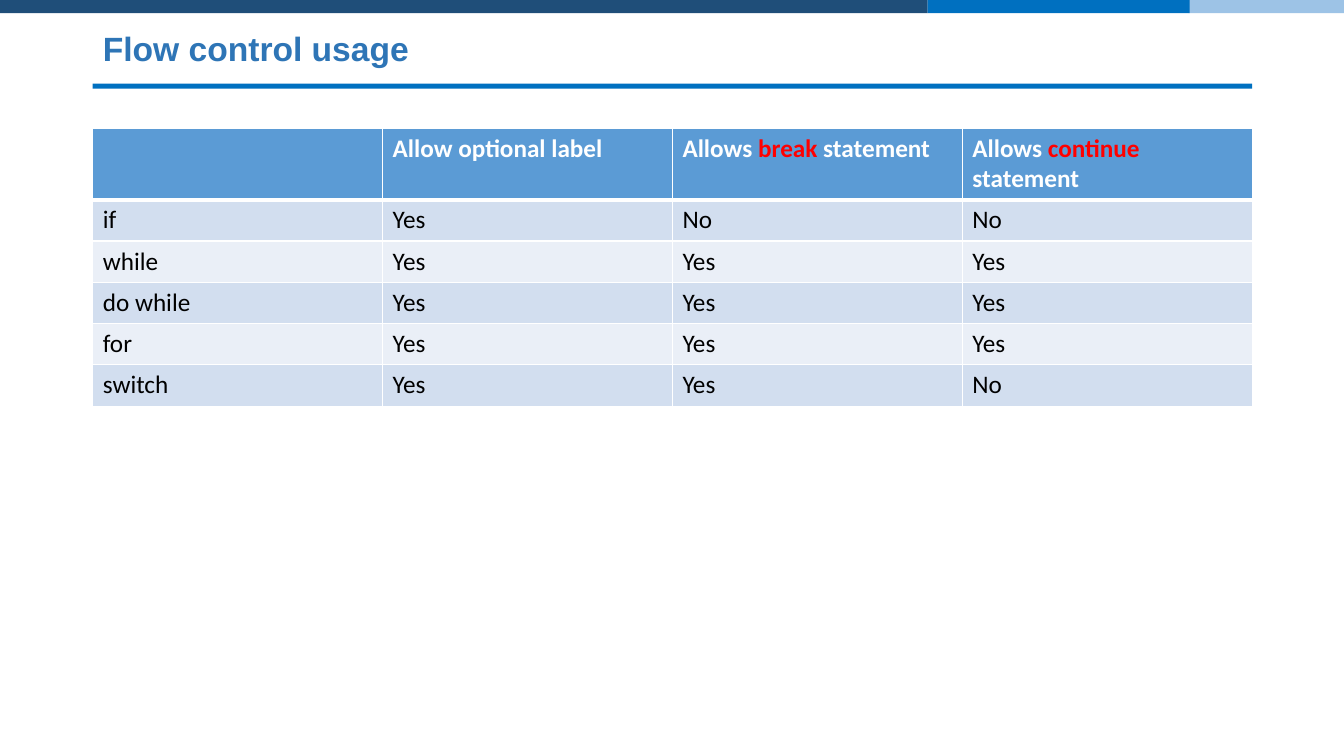
from dataclasses import dataclass

from lxml.etree import SubElement
from pptx import Presentation
from pptx.dml.color import RGBColor
from pptx.enum.shapes import MSO_SHAPE as Shp
from pptx.enum.text import MSO_ANCHOR as Anchor, PP_ALIGN as Align
from pptx.oxml.ns import qn
from pptx.slide import Slide
from pptx.table import _Cell as Cell
from pptx.text.text import _Paragraph as Paragraph
from pptx.util import Inches, Pt

COLORS = {
    "navy": "1F4E79", "sky": "9DC3E6", "blue": "0070C0", "title": "2E75B6",
    "header": "5B9BD5", "odd": "D2DEEF", "even": "EAEFF7",
    "white": "FFFFFF", "black": "000000", "red": "FF0000",
}
LEFT, WIDTH = 0.92, 11.5
HEADER_HEIGHT, ROW_HEIGHT = 0.7, 0.41
TITLE_FONT = {"name": "Arial", "size": Pt(24), "bold": True}
HEADER_FONT = {"name": "Calibri", "size": Pt(18), "bold": True}
BODY_FONT = {**HEADER_FONT, "bold": False}


@dataclass(frozen=True)
class Bar:
    """A plain filled strip, measured in inches."""
    left: float
    top: float
    width: float
    height: float
    color: str


@dataclass(frozen=True)
class Span:
    """A piece of text in one colour."""
    text: str
    color: str


BARS = [
    Bar(0, -0.01, 9.2, 0.14, "navy"),
    Bar(11.79, -0.01, 1.56, 0.14, "sky"),
    Bar(9.2, -0.01, 2.6, 0.14, "blue"),
    Bar(LEFT, 0.83, WIDTH, 0.05, "blue"),
]
HEADER = [
    [],
    [Span("Allow optional label", "white")],
    *[[Span("Allows ", "white"), Span(word, "red"), Span(" statement", "white")]
      for word in ("break", "continue")],
]
USAGE = [
    ("if", "Yes", "No", "No"),
    ("while", "Yes", "Yes", "Yes"),
    ("do while", "Yes", "Yes", "Yes"),
    ("for", "Yes", "Yes", "Yes"),
    ("switch", "Yes", "Yes", "No"),
]


def rgb(name: str) -> RGBColor:
    """Look up a named colour."""
    return RGBColor.from_string(COLORS[name])


def add_bar(s: Slide, bar: Bar) -> None:
    """Draw one strip."""
    sp = s.shapes.add_shape(Shp.RECTANGLE, Inches(bar.left), Inches(bar.top),
                            Inches(bar.width), Inches(bar.height))
    sp.shadow.inherit = False
    sp.fill.solid()
    sp.fill.fore_color.rgb = rgb(bar.color)
    sp.line.fill.background()


def add_span(p: Paragraph, span: Span, font: dict[str, object]) -> None:
    """Append a formatted run to a paragraph."""
    r = p.add_run()
    r.text = span.text
    for key, value in font.items():
        setattr(r.font, key, value)
    r.font.color.rgb = rgb(span.color)


def add_title(s: Slide, text: str) -> None:
    """Place and format the title placeholder."""
    sp = s.shapes.title
    place = {"left": LEFT, "top": 0.24, "width": WIDTH, "height": 0.52}
    for key, value in place.items():
        setattr(sp, key, Inches(value))
    tf = sp.text_frame
    tf.vertical_anchor = Anchor.MIDDLE
    p = tf.paragraphs[0]
    p.alignment = Align.LEFT
    p.line_spacing = 0.9
    add_span(p, Span(text, "title"), TITLE_FONT)


def set_borders(cell: Cell, widths: dict[str, int]) -> None:
    """Give a cell white borders, with widths in points per side."""
    tc_pr = cell._tc.get_or_add_tcPr()
    for side, width in widths.items():
        ln = SubElement(tc_pr, qn(f"a:ln{side}"), w=str(Pt(width)))
        fill = SubElement(ln, qn("a:solidFill"))
        SubElement(fill, qn("a:srgbClr"), val=COLORS["white"])


def fill_cell(cell: Cell, spans: list[Span], row: int) -> None:
    """Fill, border and write one table cell."""
    set_borders(cell, {"L": 1, "R": 1, "T": 3 if row == 1 else 1,
                       "B": 3 if row == 0 else 1})
    band = "header" if row == 0 else "odd" if row % 2 else "even"
    cell.fill.solid()
    cell.fill.fore_color.rgb = rgb(band)
    p = cell.text_frame.paragraphs[0]
    for span in spans:
        add_span(p, span, BODY_FONT if row else HEADER_FONT)


def add_usage_table(s: Slide) -> None:
    """Build the flow control table."""
    rows = [HEADER] + [[[Span(text, "black")] for text in row] for row in USAGE]
    height = HEADER_HEIGHT + ROW_HEIGHT * len(USAGE)
    table = s.shapes.add_table(len(rows), len(HEADER), Inches(LEFT), Inches(1.27),
                               Inches(WIDTH), Inches(height)).table
    for i, row in enumerate(rows):
        table.rows[i].height = Inches(ROW_HEIGHT if i else HEADER_HEIGHT)
        for j, spans in enumerate(row):
            fill_cell(table.cell(i, j), spans, i)


def main() -> None:
    """Build and save the slide."""
    prs = Presentation()
    prs.slide_width, prs.slide_height = Inches(13.33), Inches(7.5)
    s = prs.slides.add_slide(prs.slide_layouts[5])
    for bar in BARS:
        add_bar(s, bar)
    add_title(s, "Flow control usage")
    add_usage_table(s)
    prs.save("out.pptx")


if __name__ == "__main__":
    main()
